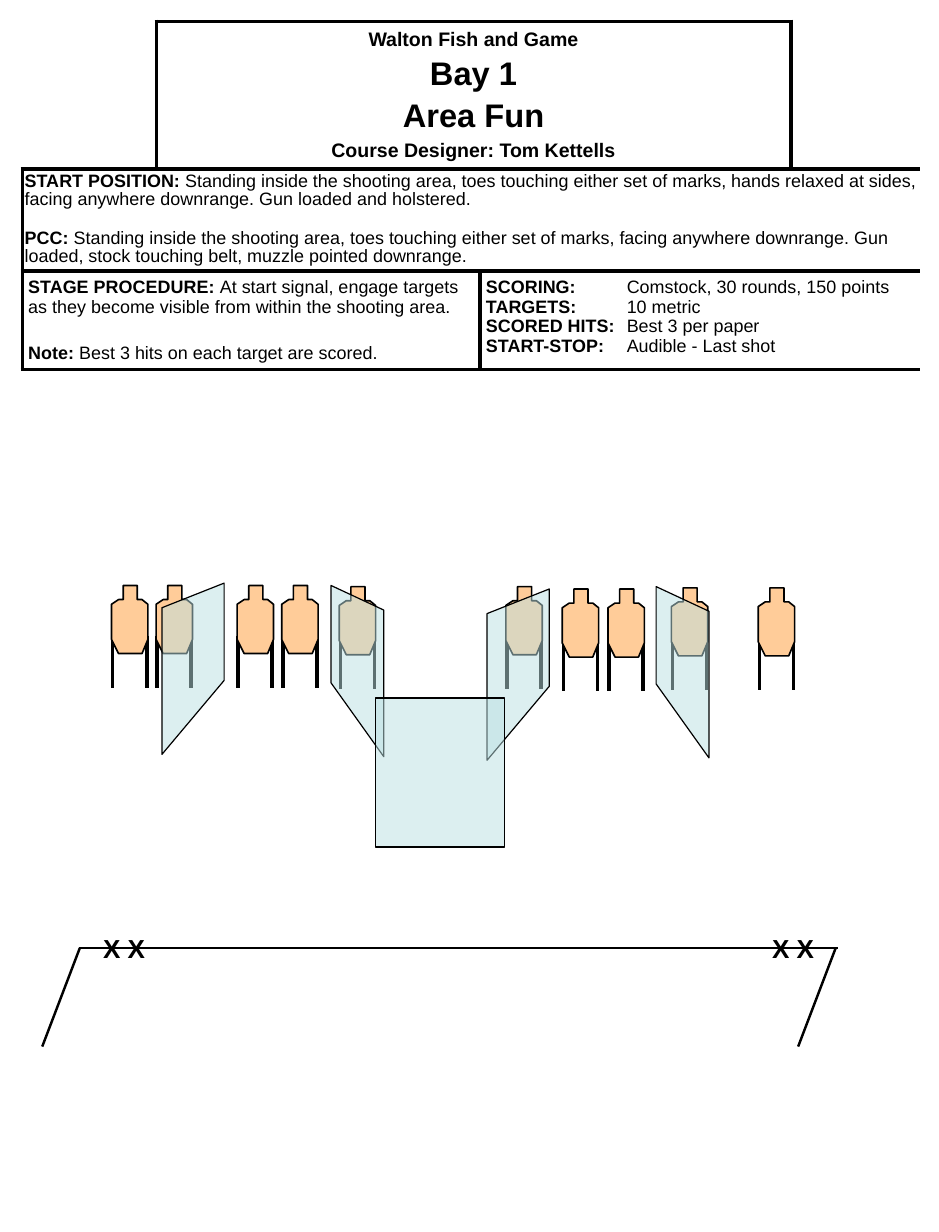
from lxml.etree import SubElement
from pptx import Presentation
from pptx.dml.color import RGBColor
from pptx.enum.shapes import MSO_CONNECTOR, MSO_SHAPE
from pptx.enum.text import MSO_ANCHOR, PP_ALIGN
from pptx.oxml.ns import qn
from pptx.util import Inches, Pt

COLORS = {"ink": "000000", "paper": "FFFFFF", "target": "FFCC99", "wall": "BBE0E3"}
FONT = "Arial"

# Paragraph: (space before in points, size, [(text, bold), ...])
TITLE = [
    (0, 12, [("Walton Fish and Game", True)]),
    (3.5, 20, [("Bay 1", True)]),
    (3.3, 20, [("Area Fun", True)]),
    (3.5, 12, [("Course Designer: Tom Kettells", True)]),
]
START = [
    (0, 11, [("START POSITION:", True),
             (" Standing inside the shooting area, toes touching either set of marks, "
              "hands relaxed at sides, facing anywhere downrange. "
              "Gun loaded and holstered.", False)]),
    (12.5, 11, [("PCC: ", True),
                ("Standing inside the shooting area, toes touching either set of marks, "
                 "facing anywhere downrange. Gun loaded, stock touching belt, "
                 "muzzle pointed downrange.", False)]),
]
PROCEDURE = [
    (0, 11, [("STAGE PROCEDURE: ", True),
             ("At start signal, engage targets as they become visible "
              "from within the shooting area.", False)]),
    (16.2, 11, [("Note: ", True), ("Best 3 hits on each target are scored.", False)]),
]
SCORING = [(0, 11, [(label, True), ("\t" + value, False)]) for label, value in (
    ("SCORING:", "Comstock, 30 rounds, 150 points"),
    ("TARGETS:", "10 metric"),
    ("SCORED HITS:", "Best 3 per paper"),
    ("START-STOP:", "Audible - Last shot"),
)]
TAB = 1.2

TABLE_AT = (0.19, 0.18)
COLS = (1.14, 2.76, 2.65, 1.1)
ROWS = (1.26, 0.87, 0.84)
# Cell: (row, first column, last column, paragraphs, (side inset, top inset))
CELLS = [
    (0, 1, 2, TITLE, (0.05, 0.04)),
    (1, 0, 3, START, (0.02, 0.04)),
    (2, 0, 1, PROCEDURE, (0.05, 0.05)),
    (2, 2, 3, SCORING, (0.05, 0.05)),
]

# Field pieces from back to front; a wall is (far edge, near edge, top)
BACK_TARGETS = [(5.72, 5.01), (2.89, 5)]
FAULT_LINES = [((0.36, 8.92), (0.68, 8.08)), ((0.67, 8.08), (7.14, 8.08)),
               ((6.8, 8.92), (7.12, 8.08))]
FIELD = [
    ("target", 0.95, 4.99), ("target", 1.33, 4.99),
    ("target", 2.02, 4.99), ("target", 2.4, 4.99),
    ("wall", 1.91, 1.38, 4.97), ("wall", 2.82, 3.27, 4.99),
    ("target", 4.31, 5), ("wall", 4.68, 4.15, 5.02),
    ("barrier", 3.2, 5.95, 1.1, 1.27),
    ("target", 4.79, 5.02), ("target", 5.18, 5.02),
    ("wall", 5.59, 6.04, 5), ("target", 6.46, 5.01),
]
START_MARKS = [0.78, 6.48]

SILHOUETTE = [(0.1, 0), (0.22, 0), (0.22, 0.12), (0.26, 0.12), (0.31, 0.16),
              (0.31, 0.46), (0.26, 0.58), (0.06, 0.58), (0, 0.46), (0, 0.16),
              (0.06, 0.12), (0.1, 0.12)]


def rgb(name):
    return RGBColor.from_string(COLORS[name])


def add_paragraphs(tf, paragraphs, align=PP_ALIGN.LEFT, spacing=None):
    for i, (before, size, runs) in enumerate(paragraphs):
        p = tf.paragraphs[0] if i == 0 else tf.add_paragraph()
        p.alignment = align
        p.space_before = Pt(before)
        if spacing:
            p.line_spacing = spacing
        if any("\t" in text for text, _ in runs):
            tabs = SubElement(p._p.get_or_add_pPr(), qn("a:tabLst"))
            SubElement(tabs, qn("a:tab"), pos=str(Inches(TAB)), algn="l")
        for text, bold in runs:
            r = p.add_run()
            r.text = text
            r.font.name, r.font.size, r.font.bold = FONT, Pt(size), bold
            r.font.color.rgb = rgb("ink")


def add_border(cell, sides):
    tcPr = cell._tc.get_or_add_tcPr()
    for side in "LRTB":
        ln = SubElement(tcPr, qn("a:ln" + side), w=str(Pt(2.25)))
        if side in sides:
            fill = SubElement(ln, qn("a:solidFill"))
            SubElement(fill, qn("a:srgbClr"), val=COLORS["ink"])
        else:
            SubElement(ln, qn("a:noFill"))


def add_briefing(shapes):
    x, y = TABLE_AT
    table = shapes.add_table(len(ROWS), len(COLS), Inches(x), Inches(y),
                             Inches(sum(COLS)), Inches(sum(ROWS))).table
    table.first_row = table.horz_banding = False
    for col, width in zip(table.columns, COLS):
        col.width = Inches(width)
    for row, height in zip(table.rows, ROWS):
        row.height = Inches(height)
    corners = {(0, 0): "RB", (0, 3): "LB"}
    spans = {(r, c): (first, last) for r, first, last, *_ in CELLS
             for c in range(first, last + 1)}
    for r in range(len(ROWS)):
        for c in range(len(COLS)):
            first, last = spans.get((r, c), (c, c))
            sides = "TB" + "L" * (c == first) + "R" * (c == last)
            cell = table.cell(r, c)
            add_border(cell, corners.get((r, c), sides))
            cell.fill.solid()
            cell.fill.fore_color.rgb = rgb("paper")
    for r, first, last, paragraphs, (side, top) in CELLS:
        cell = table.cell(r, first)
        cell.merge(table.cell(r, last))
        cell.margin_left = cell.margin_right = Inches(side)
        cell.margin_top = cell.margin_bottom = Inches(top)
        cell.vertical_anchor = MSO_ANCHOR.MIDDLE if r == 0 else MSO_ANCHOR.TOP
        add_paragraphs(cell.text_frame, paragraphs,
                       PP_ALIGN.CENTER if r == 0 else PP_ALIGN.LEFT,
                       0.9 if r == 1 else None)


def add_line(shapes, start, end, width):
    line = shapes.add_connector(MSO_CONNECTOR.STRAIGHT,
                                *(Inches(v) for v in (*start, *end)))
    line.line.color.rgb = rgb("ink")
    line.line.width = Pt(width)
    SubElement(line._element.spPr, qn("a:effectLst"))


def paint(shape, color, width, alpha=None):
    shape.shadow.inherit = False
    shape.fill.solid()
    shape.fill.fore_color.rgb = rgb(color)
    shape.line.color.rgb = rgb("ink")
    shape.line.width = Pt(width)
    if alpha:
        clr = shape._element.spPr.find(qn("a:solidFill"))[0]
        SubElement(clr, qn("a:alpha"), val=str(alpha * 1000))


def add_outline(shapes, points):
    pts = [(Inches(x), Inches(y)) for x, y in points]
    builder = shapes.build_freeform(*pts[0], scale=1.0)
    builder.add_line_segments(pts[1:], close=True)
    return builder.convert_to_shape()


def add_target(shapes, x, y):
    group = shapes.add_group_shape().shapes
    for leg in (0.01, 0.3):
        add_line(group, (x + leg, y + 0.43), (x + leg, y + 0.87), 2.25)
    body = add_outline(group, [(x + dx, y + dy) for dx, dy in SILHOUETTE])
    paint(body, "target", 1)


def add_wall(shapes, far, near, top):
    wall = add_outline(shapes, [(far, top + 0.83), (near, top + 1.46),
                                (near, top + 0.21), (far, top)])
    paint(wall, "wall", 0.75, 50)


def add_barrier(shapes, *box):
    barrier = shapes.add_shape(MSO_SHAPE.RECTANGLE, *(Inches(v) for v in box))
    paint(barrier, "wall", 0.75, 50)


def main():
    prs = Presentation()
    prs.slide_width, prs.slide_height = Inches(8), Inches(10.5)
    s = prs.slides.add_slide(prs.slide_layouts[6])
    for x, y in BACK_TARGETS:
        add_target(s.shapes, x, y)
    add_briefing(s.shapes)
    for start, end in FAULT_LINES:
        add_line(s.shapes, start, end, 1.5)
    draw = {"target": add_target, "wall": add_wall, "barrier": add_barrier}
    for kind, *place in FIELD:
        draw[kind](s.shapes, *place)
    for x in START_MARKS:
        box = s.shapes.add_textbox(Inches(x), Inches(7.9), Inches(0.58), Inches(0.37))
        box.text_frame.word_wrap = False
        add_paragraphs(box.text_frame, [(0, 16, [("X X", True)])])
    prs.save("out.pptx")


if __name__ == "__main__":
    main()
